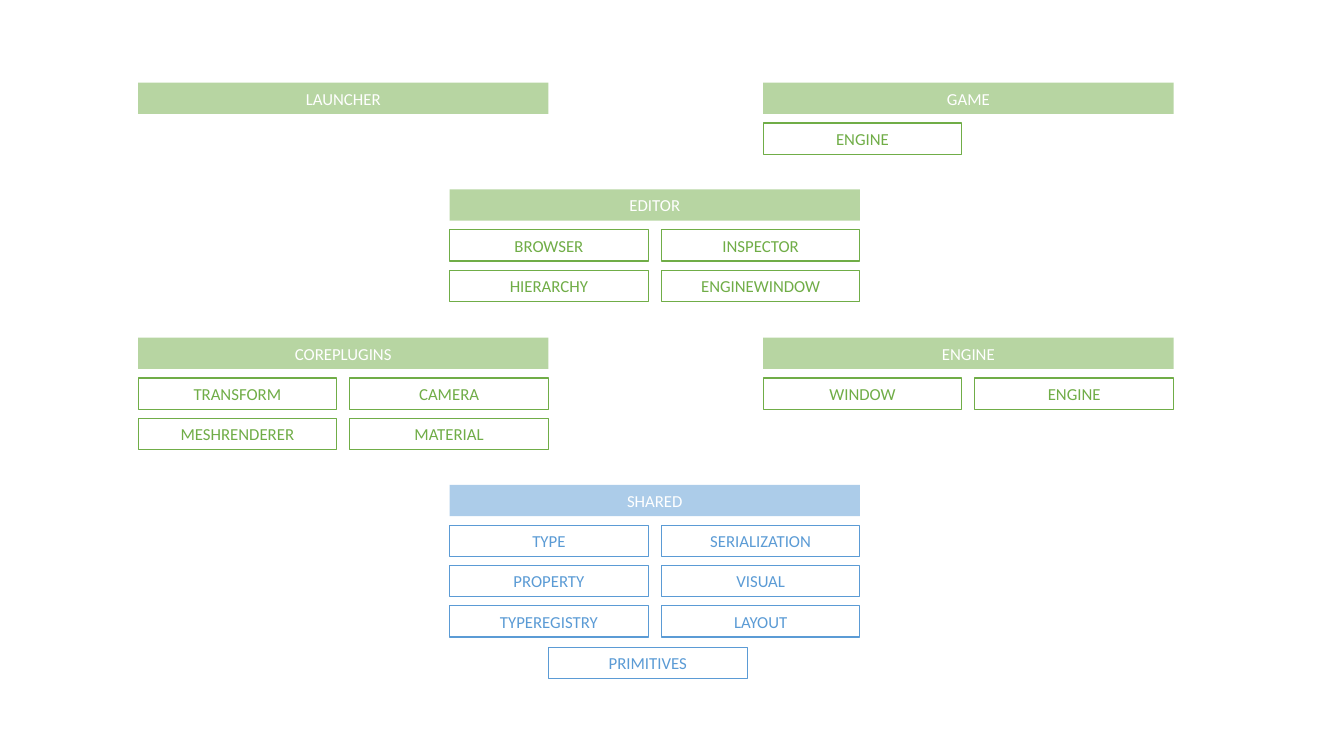
from lxml.etree import SubElement
from pptx import Presentation
from pptx.dml.color import RGBColor
from pptx.enum.shapes import MSO_SHAPE
from pptx.enum.text import MSO_ANCHOR, PP_ALIGN
from pptx.oxml.ns import qn
from pptx.util import Inches, Pt

GREEN = RGBColor(0x70, 0xAD, 0x47)
BLUE = RGBColor(0x5B, 0x9B, 0xD5)
WHITE = RGBColor(0xFF, 0xFF, 0xFF)

LEFT, CENTER, RIGHT = 1.37, 4.46, 7.57
HEADER_W, ITEM_W, BOX_H = 4.07, 1.97, 0.31
COL_STEP, ROW_STEP = 2.1, 0.4

# left, top, colour, header, items in rows of two
MODULES = [
    (LEFT, 0.82, GREEN, "LAUNCHER", []),
    (RIGHT, 0.82, GREEN, "GAME", ["ENGINE"]),
    (CENTER, 1.88, GREEN, "EDITOR",
     ["BROWSER", "INSPECTOR", "HIERARCHY", "ENGINEWINDOW"]),
    (LEFT, 3.35, GREEN, "COREPLUGINS",
     ["TRANSFORM", "CAMERA", "MESHRENDERER", "MATERIAL"]),
    (RIGHT, 3.35, GREEN, "ENGINE", ["WINDOW", "ENGINE"]),
    (CENTER, 4.81, BLUE, "SHARED",
     ["TYPE", "SERIALIZATION", "PROPERTY", "VISUAL", "TYPEREGISTRY", "LAYOUT"]),
]


def add_box(s, left, top, width, text, color):
    """Add a rectangle with centred text and return it."""
    sp = s.shapes.add_shape(MSO_SHAPE.RECTANGLE, Inches(left), Inches(top),
                            Inches(width), Inches(BOX_H))
    sp.shadow.inherit = False
    tf = sp.text_frame
    tf.word_wrap = True
    tf.vertical_anchor = MSO_ANCHOR.MIDDLE
    p = tf.paragraphs[0]
    p.text = text
    p.alignment = PP_ALIGN.CENTER
    p.font.name = "Calibri"
    p.font.size = Pt(12)
    p.font.color.rgb = color
    return sp


def add_header(s, left, top, text, color):
    """Add a half-transparent module bar without an outline."""
    sp = add_box(s, left, top, HEADER_W, text, WHITE)
    sp.fill.solid()
    sp.fill.fore_color.rgb = color
    clr = sp._element.spPr.find(qn("a:solidFill")).find(qn("a:srgbClr"))
    SubElement(clr, qn("a:alpha"), val="50000")
    sp.line.fill.background()


def add_item(s, left, top, text, color):
    """Add an outlined item box."""
    sp = add_box(s, left, top, ITEM_W, text, color)
    sp.fill.background()
    sp.line.color.rgb = color
    sp.line.width = Pt(0.75)


def add_module(s, left, top, color, header, items):
    """Add a header with its items in two columns below it."""
    add_header(s, left, top, header, color)
    for i, text in enumerate(items):
        row, col = divmod(i, 2)
        add_item(s, left + col * COL_STEP, top + (row + 1) * ROW_STEP, text, color)


def main():
    """Build the module overview slide."""
    prs = Presentation()
    prs.slide_width, prs.slide_height = Inches(13.33), Inches(7.5)
    s = prs.slides.add_slide(prs.slide_layouts[6])
    for module in MODULES:
        add_module(s, *module)
    add_item(s, 5.44, 6.42, "PRIMITIVES", BLUE)
    prs.save("out.pptx")


main()
